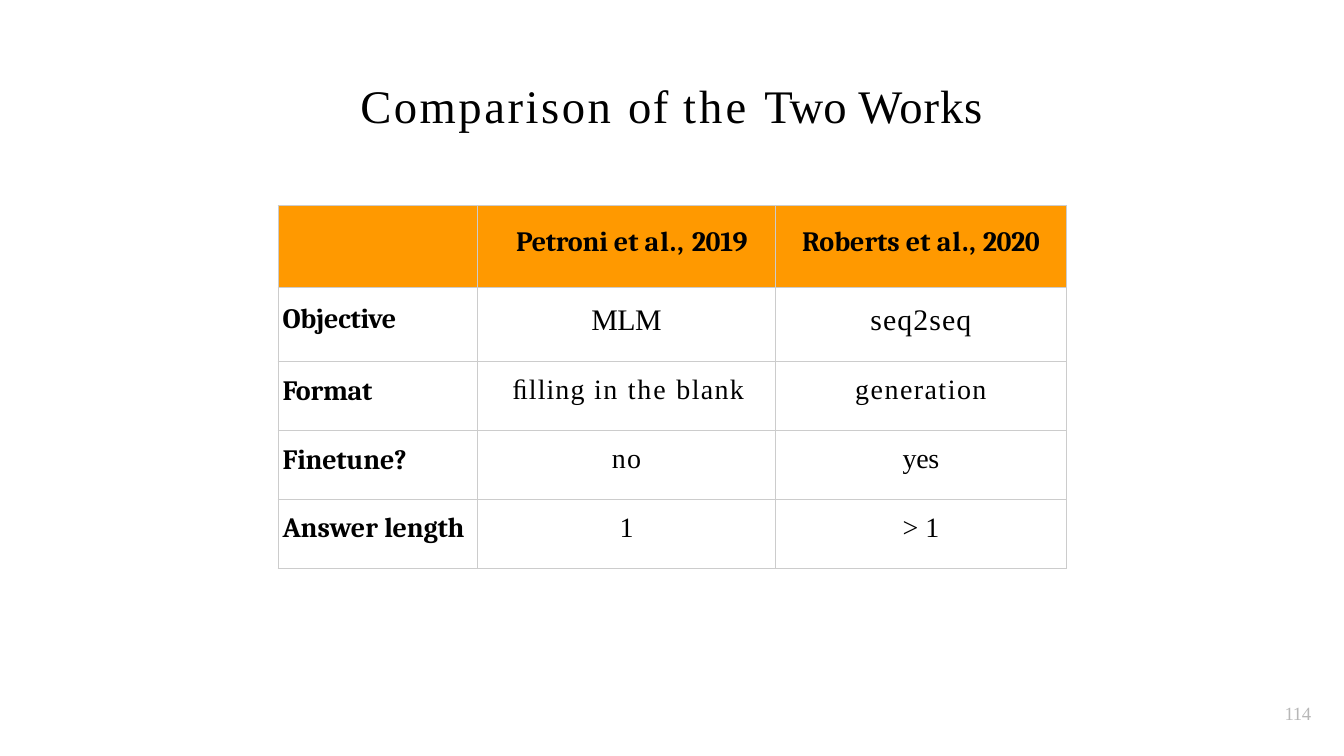
"""Build a slide comparing two works in a table."""
from lxml import etree
from pptx import Presentation
from pptx.dml.color import RGBColor
from pptx.enum.text import PP_ALIGN
from pptx.oxml.ns import qn
from pptx.util import Cm, Pt

LEFT, CENTER, RIGHT = PP_ALIGN.LEFT, PP_ALIGN.CENTER, PP_ALIGN.RIGHT

THEME = {
    "serif": "Times New Roman", "heading": "Cambria",
    "text": "000000", "muted": "B7B7B7", "header": "FF9900", "border": "CCCCCC",
    "title_size": 25, "objective_size": 16, "body_size": 15, "number_size": 10,
}

TITLE = [("Comparison ", 1.4), ("of ", 0.8), ("the ", 1.7), ("Two ", 0), ("Works", 0.5)]
PAGE_NUMBER = [("114", -0.2)]
ROWS = [
    [[],
     [("Petroni ", -0.1), ("et ", 0), ("al., ", 0.5), ("2019", -0.2)],
     [("Roberts et ", 0), ("al.,", 0.5), (" 2020", -0.2)]],
    [[("Objective", -0.1)], [("MLM", -0.2)], [("seq2seq", 0.6)]],
    [[("Format", -0.1)],
     [("ﬁlling ", 0.6), ("in ", 0.9), ("the ", 1), ("blank", 0.7)],
     [("generation", 0.8)]],
    [[("Finetune?", -0.1)], [("no", 0.8)], [("yes", -0.2)]],
    [[("Answer ", 0), ("length", -0.1)], [("1", 0)], [("> ", 0), ("1", -0.6)]],
]
COLUMN_WIDTHS = [3.76, 5.64, 5.49]
ROW_HEIGHTS = [1.55, 1.4, 1.3, 1.3, 1.3]
TOP_MARGINS = [0.38, 0.3, 0.25, 0.25, 0.25]
LABEL_MARGIN = 0.08
RIGHT_MARGINS = {(0, 1): 0.53, (2, 1): 0.6}


def write_text(frame, runs, size, font="serif", color="text", bold=False, align=LEFT):
    """Write (text, letter spacing) runs into the first paragraph."""
    paragraph = frame.paragraphs[0]
    paragraph.alignment = align
    for text, spacing in runs:
        run = paragraph.add_run()
        run.text = text
        run.font.name = THEME[font]
        run.font.size = Pt(THEME[size])
        run.font.bold = bold
        run.font.color.rgb = RGBColor.from_string(THEME[color])
        run._r.get_or_add_rPr().set("spc", str(round(spacing * 100)))


def set_margins(target, left=0, top=0, right=0):
    """Set the inner margins of a cell or text frame in centimetres."""
    target.margin_left, target.margin_top = Cm(left), Cm(top)
    target.margin_right, target.margin_bottom = Cm(right), Cm(0)


def add_text(slide, runs, left, top, width, height, margins, **style):
    """Add a wrapping text box."""
    frame = slide.shapes.add_textbox(Cm(left), Cm(top), Cm(width), Cm(height)).text_frame
    frame.word_wrap = True
    set_margins(frame, **margins)
    write_text(frame, runs, **style)


def add_borders(cell):
    """Draw a thin line on all four sides of a cell."""
    properties = cell._tc.get_or_add_tcPr()
    for side in ("a:lnL", "a:lnR", "a:lnT", "a:lnB"):
        line = etree.SubElement(properties, qn(side), w=str(Pt(0.75)))
        fill = etree.SubElement(line, qn("a:solidFill"))
        etree.SubElement(fill, qn("a:srgbClr"), val=THEME["border"])


def format_cell(cell, runs, row, column):
    """Fill, outline and write one table cell."""
    label = column == 0
    heading = label or row == 0
    right = RIGHT_MARGINS.get((row, column), 0)
    set_margins(cell, LABEL_MARGIN if label else 0, TOP_MARGINS[row], right)
    add_borders(cell)
    if row == 0:
        cell.fill.solid()
        cell.fill.fore_color.rgb = RGBColor.from_string(THEME["header"])
    else:
        cell.fill.background()
    write_text(
        cell.text_frame, runs,
        size="objective_size" if row == 1 and not label else "body_size",
        font="heading" if heading else "serif", bold=heading,
        align=LEFT if label else RIGHT if right else CENTER,
    )


def add_comparison_table(slide):
    """Add the comparison table."""
    table = slide.shapes.add_table(
        len(ROWS), len(COLUMN_WIDTHS), Cm(5.26), Cm(3.89),
        Cm(sum(COLUMN_WIDTHS)), Cm(sum(ROW_HEIGHTS))).table
    table.first_row = table.horz_banding = False
    for column, width in zip(table.columns, COLUMN_WIDTHS):
        column.width = Cm(width)
    for row, height in zip(table.rows, ROW_HEIGHTS):
        row.height = Cm(height)
    for row, cells in enumerate(ROWS):
        for column, runs in enumerate(cells):
            format_cell(table.cell(row, column), runs, row, column)


def main():
    """Build and save the presentation."""
    presentation = Presentation()
    presentation.slide_width, presentation.slide_height = Cm(25.4), Cm(14.29)
    slide = presentation.slides.add_slide(presentation.slide_layouts[6])
    add_text(slide, PAGE_NUMBER, 24.18, 13.26, 0.8, 0.5, {"left": 0.1},
             size="number_size", color="muted")
    add_text(slide, TITLE, 1.22, 0.81, 22.96, 2.1, {"left": 5.59, "top": 0.64},
             size="title_size")
    add_comparison_table(slide)
    presentation.save("out.pptx")


if __name__ == "__main__":
    main()
